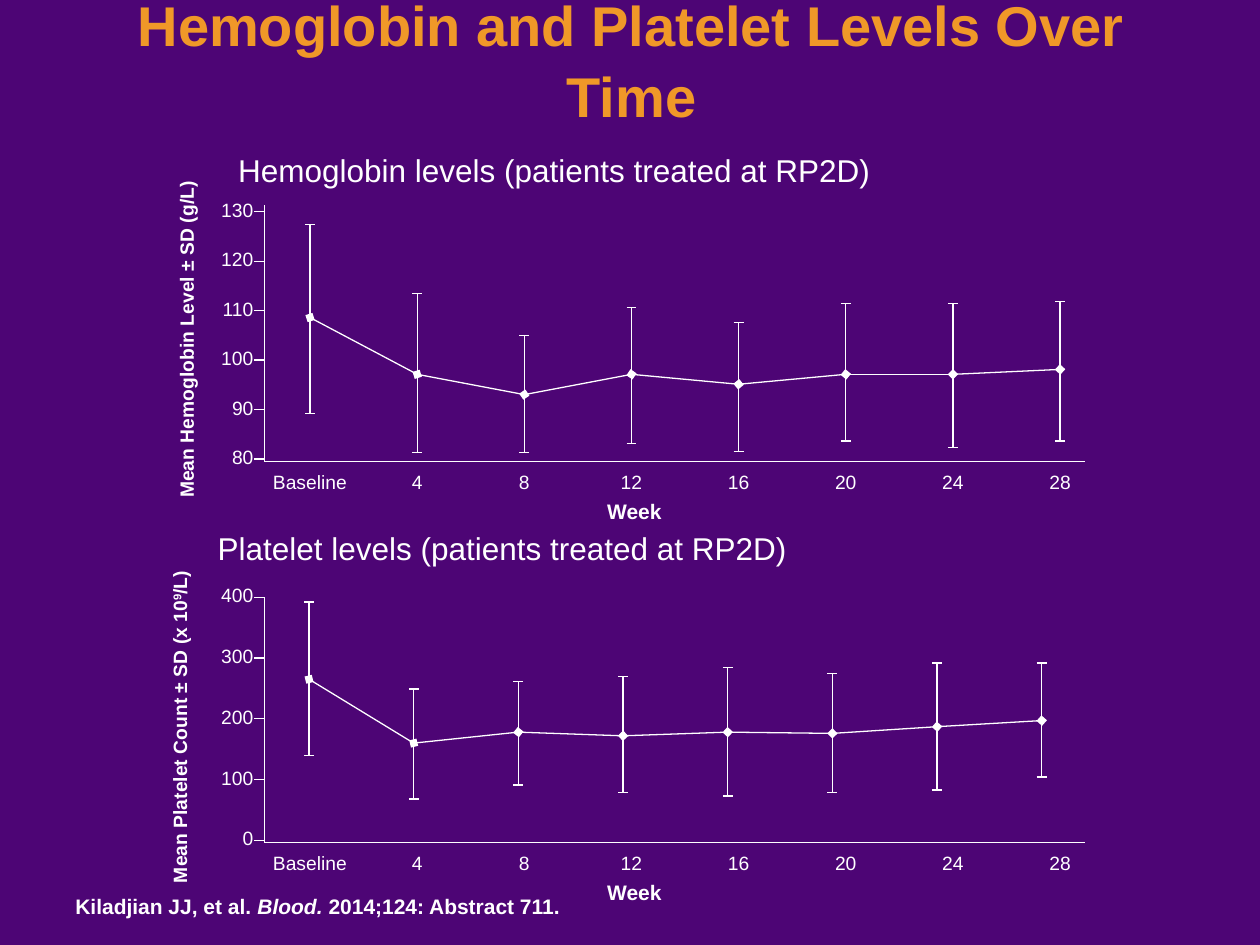
from itertools import pairwise

from lxml.etree import SubElement
from pptx import Presentation
from pptx.dml.color import RGBColor
from pptx.enum.shapes import MSO_CONNECTOR as Connector
from pptx.enum.text import MSO_ANCHOR as Anchor, MSO_AUTO_SIZE as AutoSize, PP_ALIGN as Align
from pptx.oxml.ns import qn
from pptx.util import Cm, Pt

PURPLE, ORANGE, WHITE = "4D0575", "F09828", "FFFFFF"
color = RGBColor.from_string

deck = Presentation()
deck.slide_width, deck.slide_height = Cm(25.4), Cm(19.05)
page = deck.slides.add_slide(deck.slide_layouts[5])
page.background.fill.solid()
page.background.fill.fore_color.rgb = color(PURPLE)


def add_text(spans, left, top, width, height, size=11, bold=False, align=Align.LEFT, wrap=True):
    box = page.shapes.add_textbox(Cm(left), Cm(top), Cm(width), Cm(height))
    box.text_frame.word_wrap = wrap
    box.text_frame.auto_size = AutoSize.SHAPE_TO_FIT_TEXT
    para = box.text_frame.paragraphs[0]
    para.alignment = align
    for words in spans:
        para.add_run().text = words
    para.font.name, para.font.size, para.font.bold = "Arial", Pt(size), bold
    for span in para.runs:
        span.font.name, span.font.size, span.font.bold = "Arial", Pt(size), bold
        span.font.color.rgb = color(WHITE)
    return box


def add_line(x1, y1, x2, y2, ends=()):
    line = page.shapes.add_connector(Connector.STRAIGHT, Cm(x1), Cm(y1), Cm(x2), Cm(y2))
    line.line.color.rgb = color(WHITE)
    line.line.width = Pt(0.75)
    for end in ends:
        SubElement(line.line._get_or_add_ln(), qn(f"a:{end}"), type="diamond")
    SubElement(line._element.spPr, qn("a:effectLst"))


title = page.shapes.title
title.left, title.top, title.width, title.height = Cm(1.07), Cm(0.61), Cm(23.32), Cm(2.11)
frame = title.text_frame
frame.text = "Hemoglobin and Platelet Levels Over Time"
frame.auto_size = AutoSize.NONE
frame.word_wrap = True
frame.vertical_anchor = Anchor.BOTTOM
frame.margin_left = frame.margin_right = Cm(0.3)
heading = frame.paragraphs[0]
heading.alignment = Align.CENTER
heading.line_spacing = 1.05
heading.font.name, heading.font.size, heading.font.bold = "Arial", Pt(32), True
heading.font.color.rgb = color(ORANGE)

panels = [
    {
        "heading": "Hemoglobin levels (patients treated at RP2D)", "heading_at": (4.55, 2.92),
        "axis_title": ["Mean Hemoglobin Level ± SD (g/L)"], "axis_title_at": (0.3, 6.45, 6.93),
        "ticks": range(80, 131, 10), "tick_top": 4.27, "tick_bottom": 9.25,
        "axis_top": 4.14, "axis_bottom": 9.3, "first_x": 6.25, "step_x": 2.16,
        "means": [108.6, 97.1, 93, 97.1, 95.1, 97.1, 97.1, 98.1],
        "lows": [89.2, 81.3, 81.3, 83.1, 81.5, 83.6, 82.3, 83.6],
        "highs": [127.4, 113.4, 105, 110.6, 107.6, 111.4, 111.4, 111.9],
    },
    {
        "heading": "Platelet levels (patients treated at RP2D)", "heading_at": (4.14, 10.54),
        "axis_title": ["Mean Platelet Count ± SD (x 10", "9", "/L)"], "axis_title_at": (0.2, 14.25, 6.86),
        "ticks": range(0, 401, 100), "tick_top": 12.04, "tick_bottom": 16.94,
        "axis_top": 12.04, "axis_bottom": 16.99, "first_x": 6.23, "step_x": 2.11,
        "means": [265, 160, 178, 172, 178, 176, 187, 197],
        "lows": [139, 68, 91, 79, 73, 79, 83, 104],
        "highs": [392, 249, 261, 269, 284, 274, 292, 292],
    },
]
weeks = ["Baseline", "4", "8", "12", "16", "20", "24", "28"]
AXIS_X, AXIS_END, LABEL_X, LABEL_STEP = 5.33, 21.87, 6.25, 2.16

for panel in panels:
    ticks, bottom = panel["ticks"], panel["axis_bottom"]
    scale = (panel["tick_bottom"] - panel["tick_top"]) / (ticks[-1] - ticks[0])
    means, lows, highs = (
        [panel["tick_bottom"] - (value - ticks[0]) * scale for value in panel[name]]
        for name in ("means", "lows", "highs")
    )

    add_text([panel["heading"]], *panel["heading_at"], 17.3, 1.02, size=18)
    left, top, width = panel["axis_title_at"]
    axis_title = add_text(panel["axis_title"], left, top, width, 0.74, bold=True, wrap=False)
    axis_title.rotation = 270
    for span in axis_title.text_frame.paragraphs[0].runs[1:2]:
        span._r.get_or_add_rPr().set("baseline", "30000")

    add_line(AXIS_X, panel["axis_top"], AXIS_X, bottom)
    add_line(AXIS_X, bottom, AXIS_END, bottom)
    for tick in ticks:
        y = panel["tick_bottom"] - (tick - ticks[0]) * scale
        add_line(AXIS_X - 0.2, y, AXIS_X, y)
        add_text([str(tick)], 4.16, y - 0.4, 1.2, 0.74, align=Align.RIGHT)
    for index, week in enumerate(weeks):
        width = 2.24 if week == "Baseline" else 1.78
        center = LABEL_X + index * LABEL_STEP
        add_text([week], center - width / 2, bottom + 0.05, width, 0.74, align=Align.CENTER)
    add_text(["Week"], 11.99, bottom + 0.62, 1.63, 0.76, size=12, bold=True, wrap=False)

    centers = [panel["first_x"] + index * panel["step_x"] for index in range(len(weeks))]
    for index, (start, end) in enumerate(pairwise(zip(centers, means))):
        add_line(*start, *end, ends=["tailEnd"] if index else ["headEnd", "tailEnd"])
    for x, low, high in zip(centers, lows, highs):
        add_line(x, high, x, low)
        for y in (low, high):
            add_line(x - 0.1, y, x + 0.1, y)

citation = add_text(
    ["Kiladjian JJ, et al. ", "Blood. ", "2014;124: Abstract 711."],
    1.27, 17.88, 10.49, 0.76, size=12, bold=True, wrap=False,
)
citation.text_frame.paragraphs[0].runs[1].font.italic = True

deck.save("out.pptx")
